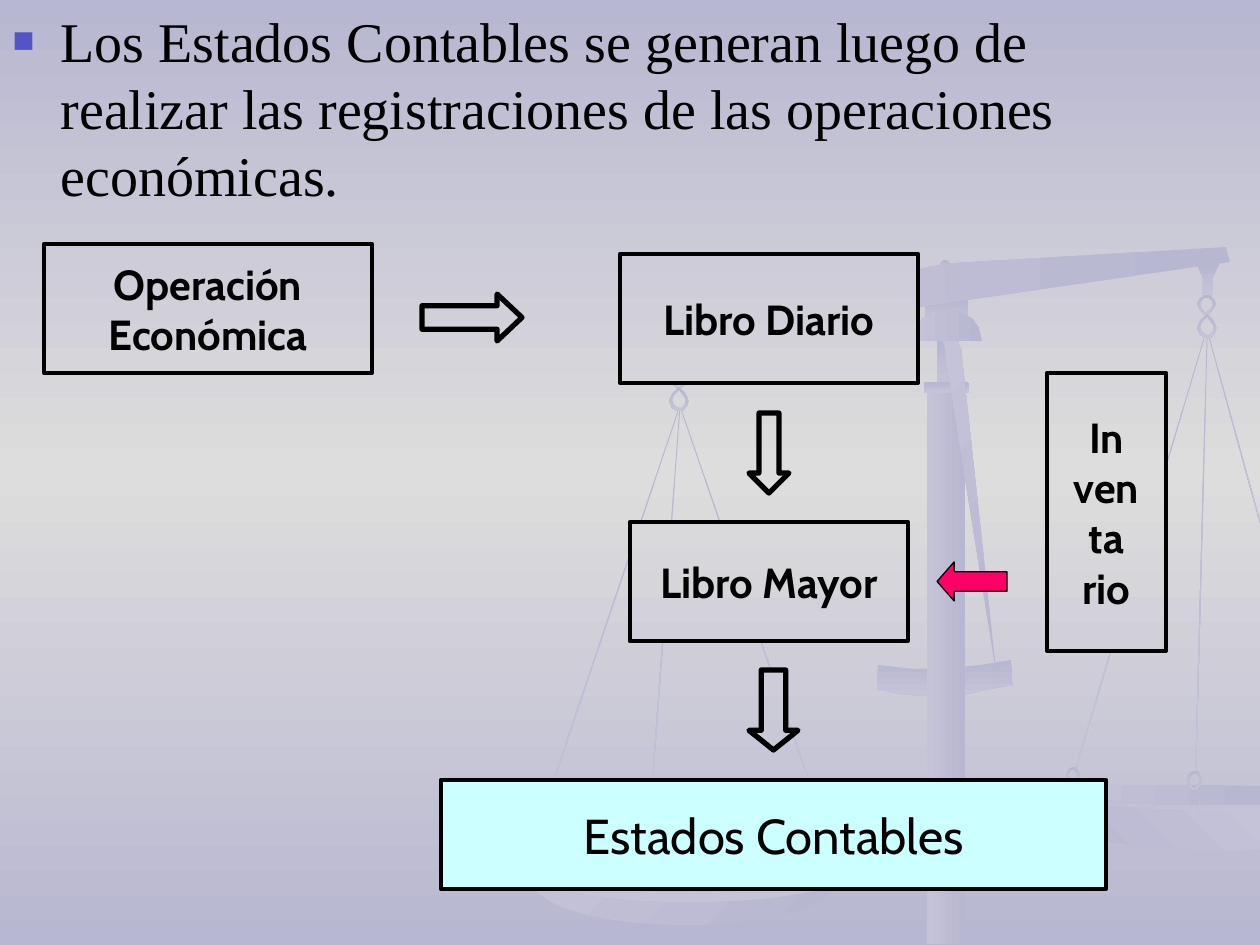
from copy import deepcopy

from lxml import etree
from pptx import Presentation
from pptx.dml.color import RGBColor
from pptx.enum import shapes, text
from pptx.oxml import ns
from pptx.util import Pt

EMU_PER_PX = 914400 / 126
SHAPE = shapes.MSO_SHAPE
LILAC, PALE, GREY = "B8B7D1", "C4C3D8", "DDDDDD"

# Left, top, height and rotation of the strings that carry the pans
STRINGS = [
    (1139, 328, 454, 16.6), (1201, 335, 437, 1.5), (1234, 333, 193, 344.6),
    (753, 397, 445, 341), (604, 398, 464, 18.6), (664, 410, 417, 4.2),
]
# Left, top, width, height and whether the tip points down
LINKS = [
    (669, 369, 20, 21, True), (669, 387, 20, 24, False),
    (1197, 295, 19, 21, True), (1197, 314, 20, 24, False),
    (1187, 771, 15, 21, True), (1186, 789, 15, 24, False),
    (1066, 767, 14, 21, True),
]
LINK_OUTLINE = [(0.5, 1), (0.8, 0.76), (1, 0.43), (0.9, 0.19), (0.7, 0),
                (0.4, 0), (0.15, 0.14), (0, 0.43), (0.15, 0.71)]
HOOK = [(23, 0), (0, 2), (6, 15), (6, 33), (16, 33), (16, 14)]
BEAM = [(1226, 247), (1230, 262), (662, 344), (660, 333), (929, 267), (956, 263)]
PLATE = [(878, 665), (912, 669), (931, 669), (954, 668), (980, 665), (1011, 660),
         (1013, 685), (985, 690), (968, 694), (946, 696), (924, 696), (900, 694),
         (877, 689)]
PAN_RIM = [(1207, 786), (1166, 786), (1130, 785), (1090, 785), (1066, 786),
           (1053, 787), (1043, 790), (1042, 792), (1046, 797), (1061, 801),
           (1087, 805), (1126, 809), (1178, 811), (1260, 813), (1260, 789),
           (1235, 789)]
PAN_BOWL = [(1047, 798), (1052, 809), (1061, 818), (1074, 828), (1090, 835),
            (1111, 842), (1138, 847), (1169, 849), (1206, 851), (1235, 851),
            (1260, 849), (1260, 810), (1201, 810), (1157, 809), (1116, 806),
            (1080, 803)]
PAN_INSIDE = [(1205, 785), (1164, 785), (1086, 785), (1072, 786), (1062, 789),
              (1052, 790), (1051, 791), (1056, 794), (1074, 798), (1106, 800),
              (1149, 804), (1203, 805), (1260, 805), (1260, 786)]
NEEDLE = [(997, 679), (945, 353), (945, 348), (942, 338), (958, 334), (959, 345),
          (961, 349)]
CAP = [(948, 311), (961, 312), (973, 319), (979, 328), (982, 341), (912, 341),
       (915, 328), (922, 319), (932, 312)]


def px(value):
    return round(value * EMU_PER_PX)


def rgb(colour):
    return RGBColor.from_string(colour)


def fill_gradient(fill, colours, angle):
    """Spread the colours evenly; the angle runs clockwise."""
    fill.gradient()
    fill.gradient_angle = (360 - angle) % 360
    first = fill.gradient_stops[0]._gs
    for _ in colours[2:]:
        first.addnext(deepcopy(first))
    for index, (stop, colour) in enumerate(zip(fill.gradient_stops, colours)):
        stop.color.rgb = rgb(colour)
        stop.position = index / (len(colours) - 1)


def add_preset(slide, kind, box):
    shape = slide.shapes.add_shape(kind, *map(px, box))
    shape.shadow.inherit = False
    return shape


def tint(shape, angle=90, colours=(LILAC, PALE)):
    fill_gradient(shape.fill, colours, angle)
    shape.line.fill.background()


def add_part(slide, kind, box, angle=90, colours=(LILAC, PALE)):
    shape = add_preset(slide, kind, box)
    tint(shape, angle, colours)
    return shape


def add_outline(slide, contours, angle=90, colours=(LILAC, PALE)):
    """Draw closed contours as one shape; later contours are holes."""
    builder = slide.shapes.build_freeform(*contours[0][0], scale=EMU_PER_PX)
    builder.add_line_segments(contours[0][1:])
    for contour in contours[1:]:
        builder.move_to(*contour[0])
        builder.add_line_segments(contour[1:])
    shape = builder.convert_to_shape()
    shape.shadow.inherit = False
    tint(shape, angle, colours)


def add_link(slide, left, top, width, height, tip_down):
    def contour(size):
        points = []
        for x, y in LINK_OUTLINE:
            y = y if tip_down else 1 - y
            points.append((round(left + width * (0.5 + (x - 0.5) * size)),
                           round(top + height * (0.5 + (y - 0.5) * size))))
        return points

    add_outline(slide, [contour(1), contour(0.72)])


def add_scales(slide):
    add_part(slide, SHAPE.RECTANGLE, (925, 299, 43, 23))
    add_part(slide, SHAPE.OVAL, (940, 260, 10, 10))
    for left, top, height, rotation in STRINGS:
        add_part(slide, SHAPE.RECTANGLE, (left, top, 1, height)).rotation = rotation
    add_outline(slide, [PLATE])
    add_outline(slide, [PAN_RIM])
    add_outline(slide, [PAN_BOWL], 135, (PALE, LILAC))
    add_outline(slide, [PAN_INSIDE], 180)
    for left, top in [(669, 338), (1197, 263)]:
        add_outline(slide, [[(left + x, top + y) for x, y in HOOK]])
    for link in LINKS:
        add_link(slide, *link)
    add_outline(slide, [BEAM], 180)
    add_part(slide, SHAPE.OVAL, (534, 839, 302, 86), 225)
    add_part(slide, SHAPE.OVAL, (524, 839, 329, 63))
    add_part(slide, SHAPE.OVAL, (534, 844, 311, 48), 180, (PALE, LILAC))
    add_part(slide, SHAPE.RECTANGLE, (927, 388, 38, 556), 180)
    add_part(slide, SHAPE.RECTANGLE, (937, 338, 16, 53))
    add_part(slide, SHAPE.ROUNDED_RECTANGLE, (924, 382, 45, 11))
    add_outline(slide, [NEEDLE], 225)
    add_outline(slide, [CAP], 180)


def fill_body(slide, content):
    slide.shapes._spTree.remove(slide.shapes.title._element)
    body = slide.placeholders[1]
    slide.shapes._spTree.append(body._element)
    body.left, body.top, body.width, body.height = map(px, (0, 0, 1153, 844))
    frame = body.text_frame
    frame.auto_size = text.MSO_AUTO_SIZE.NONE
    frame.text = content
    paragraph = frame.paragraphs[0]
    properties = paragraph._p.get_or_add_pPr()
    properties.set("marL", str(px(48)))
    properties.set("indent", str(px(-48)))
    colour = etree.SubElement(properties, ns.qn("a:buClr"))
    etree.SubElement(colour, ns.qn("a:srgbClr"), val="5454C6")
    etree.SubElement(properties, ns.qn("a:buSzPct"), val="65000")
    etree.SubElement(properties, ns.qn("a:buChar"), char="■")
    paragraph.space_before = Pt(0)
    format_font(paragraph.font, "Times New Roman", 32)


def format_font(font, name, size, bold=False):
    font.name, font.size, font.bold = name, Pt(size), bold
    font.color.rgb = rgb("000000")


def add_framed(slide, kind, box, line_width, colour=None):
    """Add a black-edged shape; without a colour it shows the slide background."""
    shape = add_preset(slide, kind, box)
    if colour:
        shape.fill.solid()
        shape.fill.fore_color.rgb = rgb(colour)
    else:
        shape._element.set("useBgFill", "1")
    shape.line.color.rgb = rgb("000000")
    shape.line.width = Pt(line_width)
    return shape


def add_box(slide, box, lines, size=24, bold=True, colour=None):
    frame = add_framed(slide, SHAPE.RECTANGLE, box, 2.5, colour).text_frame
    frame.word_wrap = False
    frame.vertical_anchor = text.MSO_ANCHOR.MIDDLE
    frame.text = "\n".join(lines)
    for paragraph in frame.paragraphs:
        paragraph.alignment = text.PP_ALIGN.CENTER
        format_font(paragraph.font, "Cabin", size, bold)


def add_arrow(slide, kind, box, head, line_width=3, colour=None):
    add_framed(slide, kind, box, line_width, colour).adjustments[1] = head


def main():
    presentation = Presentation()
    presentation.slide_width, presentation.slide_height = px(1260), px(945)
    slide = presentation.slides.add_slide(presentation.slide_layouts[1])
    fill_gradient(slide.background.fill, (LILAC, GREY, LILAC), 90)
    add_scales(slide)
    fill_body(slide, "Los Estados Contables se generan luego de realizar las "
                     "registraciones de las operaciones económicas.")
    add_box(slide, (44, 244, 328, 129), ["Operación", "Económica"])
    add_arrow(slide, SHAPE.RIGHT_ARROW, (422, 294, 100, 47), 0.53)
    add_box(slide, (620, 254, 298, 129), ["Libro Diario"])
    add_arrow(slide, SHAPE.DOWN_ARROW, (749, 413, 40, 80), 0.5)
    add_box(slide, (630, 522, 278, 119), ["Libro Mayor"])
    add_box(slide, (1047, 373, 119, 278), ["In", "ven", "ta", "rio"])
    add_arrow(slide, SHAPE.LEFT_ARROW, (937, 562, 70, 39), 0.44, 0.75, "FF0066")
    add_arrow(slide, SHAPE.DOWN_ARROW, (749, 670, 49, 80), 0.4)
    add_box(slide, (441, 780, 665, 109), ["Estados Contables"], 28, False, "CCFFFF")
    presentation.save("out.pptx")


if __name__ == "__main__":
    main()
